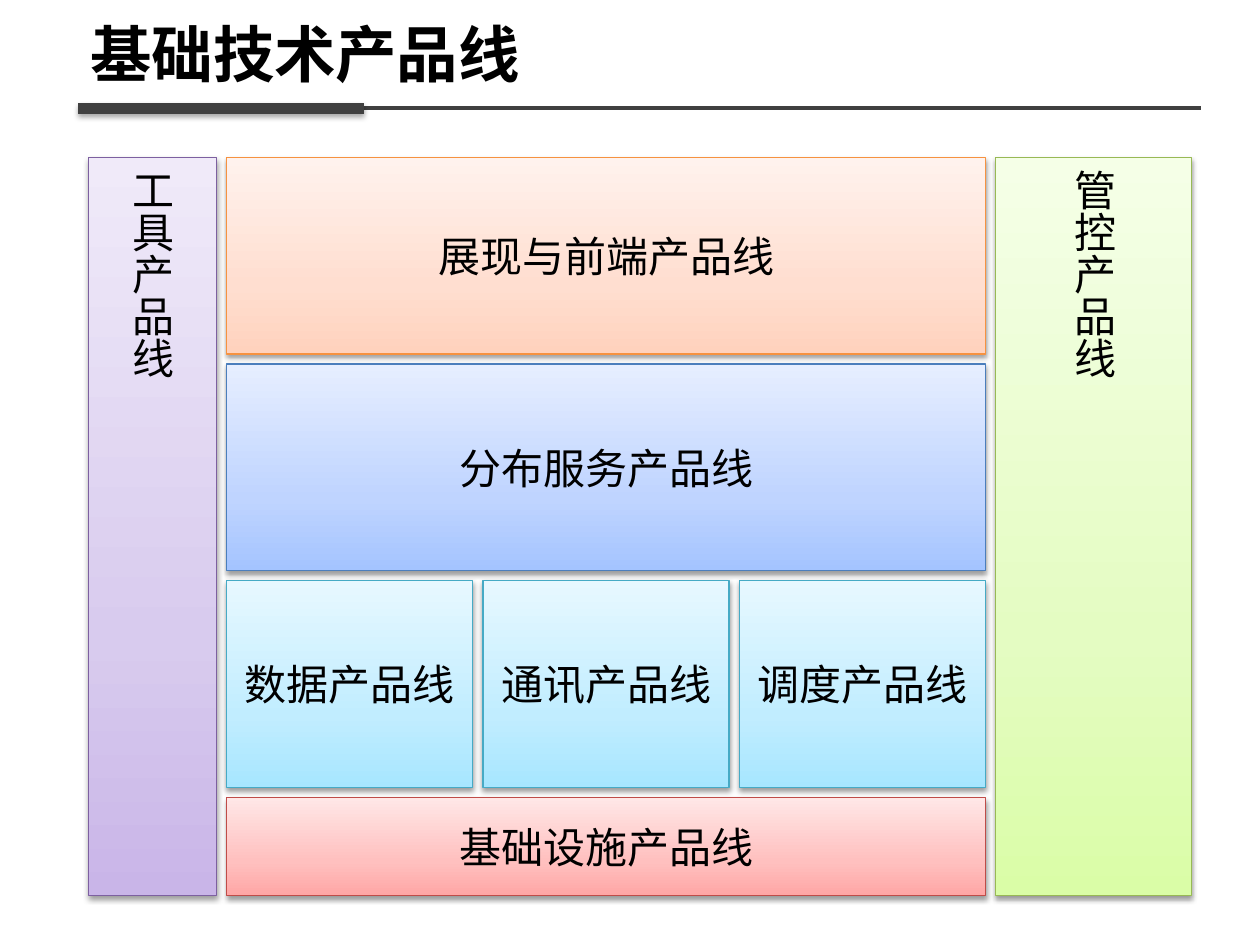
from copy import deepcopy

from lxml import etree
from pptx import Presentation
from pptx.dml.color import RGBColor
from pptx.enum.shapes import MSO_CONNECTOR, MSO_SHAPE
from pptx.enum.text import MSO_ANCHOR, PP_ALIGN
from pptx.oxml.ns import qn
from pptx.util import Inches, Pt

RECTANGLE = MSO_SHAPE.RECTANGLE
STRAIGHT = MSO_CONNECTOR.STRAIGHT
MIDDLE = MSO_ANCHOR.MIDDLE
CENTER = PP_ALIGN.CENTER

# Content
TITLE = "基础技术产品线"
TOOLS = ("工具产品线", "purple")
CONTROL = ("管控产品线", "green")
LAYERS = [  # height, blocks from left to right
    (1.56, [("展现与前端产品线", "orange")]),
    (1.64, [("分布服务产品线", "blue")]),
    (1.64, [("数据产品线", "cyan"), ("通讯产品线", "cyan"), ("调度产品线", "cyan")]),
    (0.78, [("基础设施产品线", "red")]),
]

THEME = {
    "font": "Noto Sans CJK SC",
    "title_size": 35.1,
    "block_size": 24,
    "text": "000000",
    "rule": "404040",
    # Border, then gradient from bottom to top
    "purple": ("7D60A0", ["C9B5E8", "D8CBEE", "F0EAF9"]),
    "orange": ("F69240", ["FFD2BD", "FFDED0", "FFF2ED"]),
    "blue": ("4B7EBC", ["A4C4FF", "BFD4FF", "E6EEFF"]),
    "cyan": ("46AAC5", ["A7E6FF", "C1EDFF", "E7F8FF"]),
    "red": ("BF4C48", ["FFA6A5", "FFC0BF", "FFE7E7"]),
    "green": ("98B955", ["DAFDA7", "E4FCC2", "F5FFE7"]),
}
GRADIENT_POSITIONS = (0, 0.35, 1)

# Layout in inches
GAP = 0.08
LEFT, TOP = 0.7, 1.25
TOOLS_WIDTH, CENTER_WIDTH, CONTROL_WIDTH = 1.02, 6.02, 1.56
RULE_LEFT, RULE_Y = 0.62, 0.86


def color(name):
    return RGBColor.from_string(name)


def format_text(paragraph, size, bold=False):
    for run in paragraph.runs:
        run.font.size = Pt(size)
        run.font.bold = bold
        run.font.color.rgb = color(THEME["text"])
        run.font.name = THEME["font"]
        east_asian = etree.SubElement(run.font._element, qn("a:ea"))
        east_asian.set("typeface", THEME["font"])


def add_effects(shape, opacity=0, distance=0):
    """Give the shape a downward shadow, or none when opacity is zero."""
    effects = etree.SubElement(shape._element.spPr, qn("a:effectLst"))
    if opacity:
        shadow = etree.SubElement(
            effects, qn("a:outerShdw"), blurRad=str(Pt(3.1)),
            dist=str(Pt(distance)), dir="5400000", rotWithShape="0")
        shade = etree.SubElement(shadow, qn("a:srgbClr"), val="000000")
        etree.SubElement(shade, qn("a:alpha"), val=str(opacity * 1000))


def fill_gradient(shape, colors):
    shape.fill.gradient()
    shape.fill.gradient_angle = 90
    stop_list = shape._element.spPr.find(".//" + qn("a:gsLst"))
    stop_list.append(deepcopy(stop_list[-1]))
    for stop, position, name in zip(shape.fill.gradient_stops, GRADIENT_POSITIONS, colors):
        stop.position = position
        stop.color.rgb = color(name)


def add_block(slide, block, left, top, width, height, vertical=False):
    text, style = block
    border, gradient = THEME[style]
    shape = slide.shapes.add_shape(
        RECTANGLE, Inches(left), Inches(top), Inches(width), Inches(height))
    fill_gradient(shape, gradient)
    shape.line.color.rgb = color(border)
    shape.line.width = Pt(0.75)
    add_effects(shape, opacity=38, distance=1.6)
    text_frame = shape.text_frame
    text_frame.text = text
    text_frame.vertical_anchor = MIDDLE
    if vertical:
        text_frame._txBody.bodyPr.set("vert", "eaVert")
    paragraph = text_frame.paragraphs[0]
    paragraph.alignment = CENTER
    format_text(paragraph, THEME["block_size"])


def add_rule(slide, right, width, **shadow):
    rule = slide.shapes.add_connector(
        STRAIGHT, Inches(RULE_LEFT), Inches(RULE_Y), Inches(right), Inches(RULE_Y))
    rule.line.color.rgb = color(THEME["rule"])
    rule.line.width = Pt(width)
    add_effects(rule, **shadow)


def add_title(slide):
    box = slide.shapes.add_textbox(Inches(RULE_LEFT), Inches(0.14), Inches(8.88), Inches(0.64))
    text_frame = box.text_frame
    text_frame.word_wrap = True
    text_frame.vertical_anchor = MIDDLE
    text_frame.text = TITLE
    paragraph = text_frame.paragraphs[0]
    paragraph.line_spacing = 0.9
    format_text(paragraph, THEME["title_size"], bold=True)


def main():
    presentation = Presentation()
    presentation.slide_width = Inches(10)
    presentation.slide_height = Inches(7.5)
    slide = presentation.slides.add_slide(presentation.slide_layouts[6])

    # Side columns span all layers
    total_height = sum(height for height, _ in LAYERS) + GAP * (len(LAYERS) - 1)
    center_left = LEFT + TOOLS_WIDTH + GAP
    control_left = center_left + CENTER_WIDTH + GAP
    add_block(slide, TOOLS, LEFT, TOP, TOOLS_WIDTH, total_height, vertical=True)
    add_block(slide, CONTROL, control_left, TOP, CONTROL_WIDTH, total_height, vertical=True)

    # Stacked layers, each split into equal blocks
    top = TOP
    for height, blocks in LAYERS:
        width = (CENTER_WIDTH - GAP * (len(blocks) - 1)) / len(blocks)
        for index, block in enumerate(blocks):
            add_block(slide, block, center_left + index * (width + GAP), top, width, height)
        top += height + GAP

    # Title with its thin and thick rules
    add_title(slide)
    add_rule(slide, 9.53, 2.25)
    add_rule(slide, 2.89, 6, opacity=35, distance=1.8)

    presentation.save("out.pptx")


if __name__ == "__main__":
    main()
